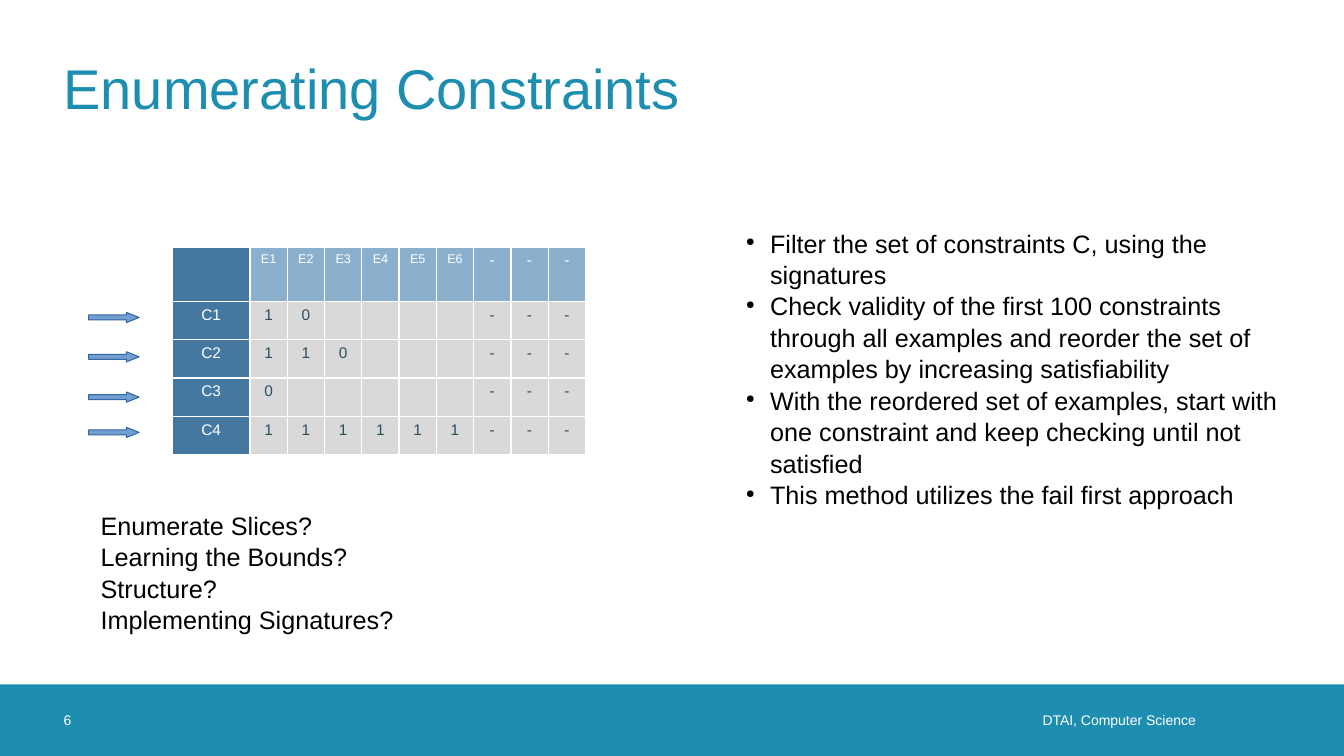
from dataclasses import dataclass

from lxml import etree
from pptx import Presentation
from pptx.dml.color import RGBColor
from pptx.enum.shapes import MSO_SHAPE
from pptx.enum.text import MSO_ANCHOR, MSO_AUTO_SIZE, PP_ALIGN
from pptx.oxml.ns import qn
from pptx.util import Inches, Pt

RECTANGLE, RIGHT_ARROW = MSO_SHAPE.RECTANGLE, MSO_SHAPE.RIGHT_ARROW
TOP, MIDDLE = MSO_ANCHOR.TOP, MSO_ANCHOR.MIDDLE
LEFT, CENTER, RIGHT = PP_ALIGN.LEFT, PP_ALIGN.CENTER, PP_ALIGN.RIGHT
NO_AUTOFIT = MSO_AUTO_SIZE.NONE

TEAL = RGBColor(0x1D, 0x8D, 0xB0)
WHITE = RGBColor(0xFF, 0xFF, 0xFF)
BLACK = RGBColor(0x00, 0x00, 0x00)
LABEL_BLUE = RGBColor(0x45, 0x78, 0xA1)
HEADER_BLUE = RGBColor(0x8B, 0xB0, 0xCD)
CELL_GREY = RGBColor(0xD9, 0xD9, 0xD9)
CELL_TEXT = RGBColor(0x2F, 0x4D, 0x5D)
ARROW_FILL = RGBColor(0x72, 0x9F, 0xCF)
ARROW_LINE = RGBColor(0x34, 0x65, 0xA4)

FONT = "Arial"
SLIDE_WIDTH, SLIDE_HEIGHT = 13.33, 7.5
BAND_TOP, BAND_HEIGHT = 6.79, 0.71
LABEL_WIDTH, EXAMPLE_WIDTH = 0.77, 0.37
HEADER_HEIGHT, ROW_HEIGHT = 0.54, 0.38
ARROW_TOPS = (3.1, 3.49, 3.89, 4.24)
BODY_INSETS = (0.1, 0.05, 0.1, 0.05)

# Results of each constraint on the examples checked so far
EXAMPLES = ("E1", "E2", "E3", "E4", "E5", "E6")
RESULTS = {"C1": "10", "C2": "110", "C3": "0", "C4": "111111"}
REMAINING = ("-",) * 3


@dataclass(frozen=True)
class TextBlock:
    left: float
    top: float
    width: float
    height: float
    lines: tuple[str, ...]
    size: int = 18
    color: RGBColor = BLACK
    align: PP_ALIGN = LEFT
    anchor: MSO_ANCHOR = TOP
    insets: tuple[float, ...] = (0, 0, 0, 0)
    spacing: float = 1.0
    bulleted: bool = False


TITLE = TextBlock(0.63, 0.23, 12.07, 1.26, ("Enumerating Constraints",),
                  40, TEAL, anchor=MIDDLE)
TEXT_BLOCKS = (
    TextBlock(6.6, BAND_TOP, 5.46, BAND_HEIGHT, ("DTAI, Computer Science",),
              10, WHITE, RIGHT, MIDDLE, (0, 0, 0.2, 0)),
    TextBlock(0.63, BAND_TOP, 0.71, BAND_HEIGHT, ("6",), 10, WHITE, anchor=MIDDLE),
    TextBlock(7.3, 2.2, 5.5, 2.9, (
        "Filter the set of constraints C, using the signatures",
        "Check validity of the first 100 constraints through all examples "
        "and reorder the set of examples by increasing satisfiability",
        "With the reordered set of examples, start with one constraint "
        "and keep checking until not satisfied",
        "This method utilizes the fail first approach",
    ), insets=BODY_INSETS, spacing=1.04, bulleted=True),
    TextBlock(0.9, 5, 3.6, 1.22, (
        "Enumerate Slices?",
        "Learning the Bounds?",
        "Structure?",
        "Implementing Signatures?",
    ), insets=BODY_INSETS, spacing=1.04),
)


def add_span(para, text: str, size: int, color: RGBColor) -> None:
    span = para.add_run()
    span.text = text
    span.font.name = FONT
    span.font.size = Pt(size)
    span.font.color.rgb = color


def add_bullet(para) -> None:
    props = para._p.get_or_add_pPr()
    props.set("marL", str(Inches(0.24)))
    props.set("indent", str(Inches(-0.24)))
    color = etree.SubElement(props, qn("a:buClr"))
    etree.SubElement(color, qn("a:srgbClr"), val=str(BLACK))
    etree.SubElement(props, qn("a:buSzPct"), val="45000")
    etree.SubElement(props, qn("a:buChar"), char="●")


def fill_text(box, block: TextBlock) -> None:
    box.left, box.top = Inches(block.left), Inches(block.top)
    box.width, box.height = Inches(block.width), Inches(block.height)
    frame = box.text_frame
    frame.word_wrap = True
    frame.auto_size = NO_AUTOFIT
    frame.vertical_anchor = block.anchor
    (frame.margin_left, frame.margin_top,
     frame.margin_right, frame.margin_bottom) = map(Inches, block.insets)
    for index, line in enumerate(block.lines):
        para = frame.add_paragraph() if index else frame.paragraphs[0]
        para.alignment = block.align
        para.line_spacing = block.spacing
        if block.bulleted:
            add_bullet(para)
        add_span(para, line, block.size, block.color)


def add_solid(page, kind: MSO_SHAPE, left: float, top: float,
              width: float, height: float, color: RGBColor):
    shape = page.shapes.add_shape(kind, Inches(left), Inches(top),
                                  Inches(width), Inches(height))
    shape.shadow.inherit = False
    shape.fill.solid()
    shape.fill.fore_color.rgb = color
    shape.line.fill.background()
    return shape


def add_arrow(page, top: float) -> None:
    arrow = add_solid(page, RIGHT_ARROW, 0.88, top, 0.5, 0.1, ARROW_FILL)
    arrow.adjustments[1] = 1.25
    arrow.line.color.rgb = ARROW_LINE
    arrow.line.width = Pt(0.75)


def style_cell(cell, text: str, size: int, color: RGBColor, fill: RGBColor) -> None:
    cell.margin_left = cell.margin_right = Inches(0.05)
    cell.margin_bottom = 0
    # Borders come before the fill in the cell properties
    props = cell._tc.get_or_add_tcPr()
    for side in ("a:lnL", "a:lnR", "a:lnT", "a:lnB"):
        border = etree.SubElement(props, qn(side), w=str(Pt(0.96)))
        solid = etree.SubElement(border, qn("a:solidFill"))
        etree.SubElement(solid, qn("a:srgbClr"), val=str(WHITE))
    cell.fill.solid()
    cell.fill.fore_color.rgb = fill
    para = cell.text_frame.paragraphs[0]
    para.alignment = CENTER
    if text:
        add_span(para, text, size, color)


def add_results_table(page) -> None:
    rows = [("", *EXAMPLES, *REMAINING)]
    for name, results in RESULTS.items():
        unchecked = ("",) * (len(EXAMPLES) - len(results))
        rows.append((name, *results, *unchecked, *REMAINING))
    widths = [LABEL_WIDTH] + [EXAMPLE_WIDTH] * (len(rows[0]) - 1)
    heights = [HEADER_HEIGHT] + [ROW_HEIGHT] * len(RESULTS)
    table = page.shapes.add_table(
        len(rows), len(widths), Inches(1.71), Inches(2.45),
        Inches(sum(widths)), Inches(sum(heights))).table
    for column, width in zip(table.columns, widths):
        column.width = Inches(width)
    for row, height in zip(table.rows, heights):
        row.height = Inches(height)
    for r, row in enumerate(rows):
        for c, text in enumerate(row):
            if c == 0:
                color, fill = WHITE, LABEL_BLUE
            elif r == 0:
                color, fill = WHITE, HEADER_BLUE
            else:
                color, fill = CELL_TEXT, CELL_GREY
            size = 9 if text in EXAMPLES else 11
            style_cell(table.cell(r, c), text, size, color, fill)


def main() -> None:
    deck = Presentation()
    deck.slide_width, deck.slide_height = Inches(SLIDE_WIDTH), Inches(SLIDE_HEIGHT)
    page = deck.slides.add_slide(deck.slide_layouts.get_by_name("Title Only"))

    # Title and footer band
    fill_text(page.shapes.title, TITLE)
    add_solid(page, RECTANGLE, 0, BAND_TOP, SLIDE_WIDTH, BAND_HEIGHT, TEAL)

    # Table with an arrow for each constraint
    add_results_table(page)
    for top in ARROW_TOPS:
        add_arrow(page, top)

    # Footer texts, bullets and questions
    for block in TEXT_BLOCKS:
        fill_text(page.shapes.add_textbox(0, 0, 0, 0), block)

    deck.save("out.pptx")


if __name__ == "__main__":
    main()
